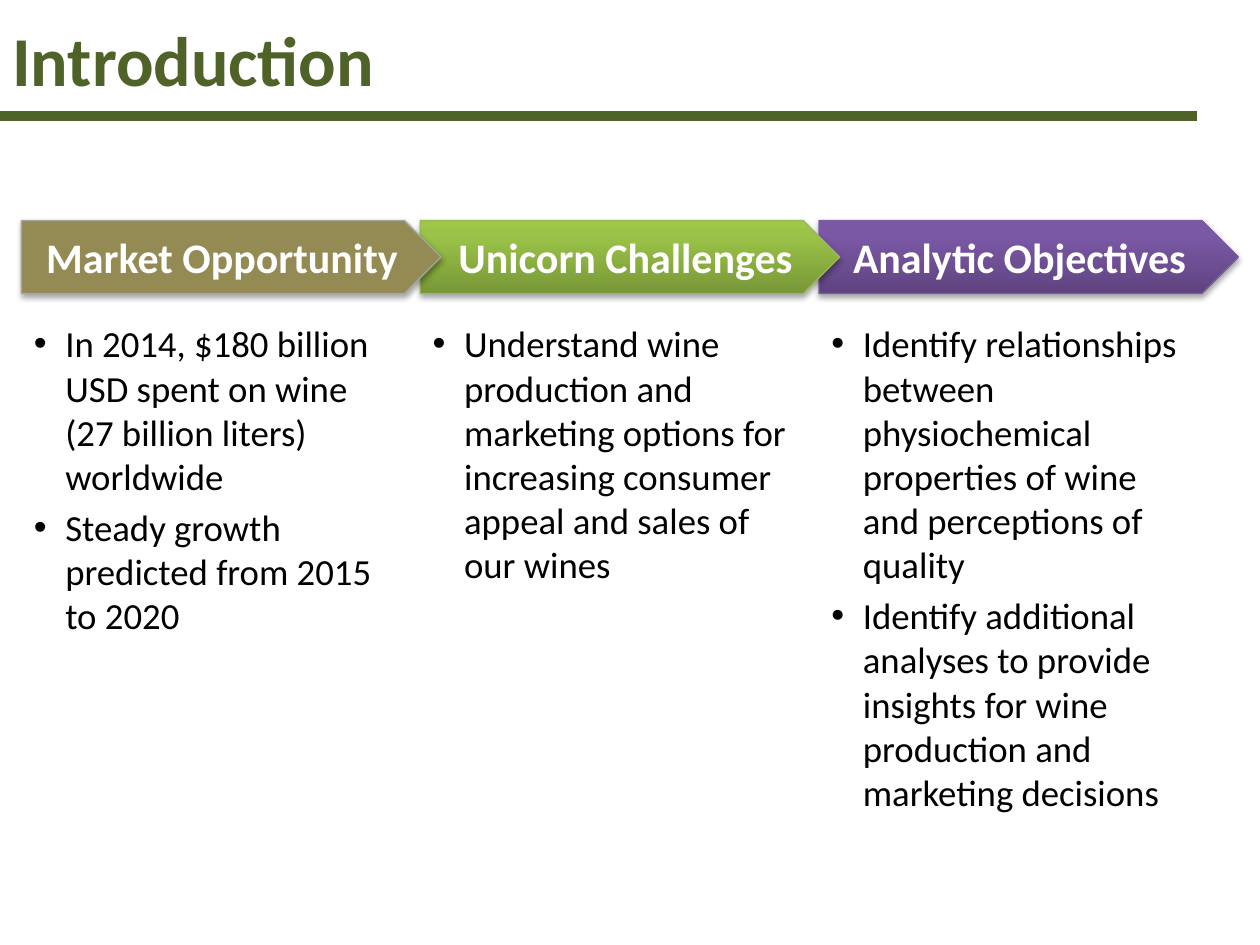
from copy import deepcopy
from dataclasses import dataclass

from lxml.etree import SubElement
from pptx import Presentation
from pptx.dml.color import RGBColor
from pptx.enum.shapes import MSO_CONNECTOR as Connector, MSO_SHAPE as Preset
from pptx.enum.text import MSO_ANCHOR as Anchor, PP_ALIGN as Align
from pptx.oxml.ns import qn
from pptx.shapes.autoshape import Shape
from pptx.slide import Slide
from pptx.text.text import TextFrame
from pptx.util import Emu, Inches, Pt

FONT = "Calibri"
OLIVE = "4F6228"
FIRST_LEFT, PITCH = 0.17, 3.165
GRADIENT_POSITIONS = (0, 0.8, 1)


@dataclass(frozen=True)
class Topic:
    heading: str
    fills: tuple[str, ...]
    outline: str
    points: tuple[str, ...]


TOPICS = (
    Topic(
        "Market Opportunity", ("948A54",), "A6A6A6",
        ("In 2014, $180 billion USD spent on wine \n(27 billion liters) worldwide",
         "Steady growth predicted from 2015 \nto 2020"),
    ),
    Topic(
        " Unicorn Challenges", ("779737", "9BC348", "9DC746"), "98B955",
        ("Understand wine production and marketing options for increasing "
         "consumer appeal and sales of our wines",),
    ),
    Topic(
        "Analytic Objectives", ("5F4480", "7B58A6", "7C57A8"), "7D60A0",
        ("Identify relationships between physiochemical properties of wine "
         "and perceptions of quality",
         "Identify additional analyses to provide insights for wine "
         "production and marketing decisions"),
    ),
)


def rgb(code: str) -> RGBColor:
    return RGBColor.from_string(code)


def write(frame: TextFrame, *lines: str, size: float, color: str = "000000",
          bold: bool = False, align: Align = Align.LEFT,
          anchor: Anchor = Anchor.TOP, bullet: bool = False) -> None:
    frame.word_wrap = True
    frame.vertical_anchor = anchor
    for index, line in enumerate(lines):
        paragraph = frame.add_paragraph() if index else frame.paragraphs[0]
        paragraph.text = line
        paragraph.alignment = align
        if bullet:
            paragraph.space_before = Pt(size * 0.2)
            properties = paragraph._p.get_or_add_pPr()
            properties.set("marL", str(Inches(0.25)))
            properties.set("indent", str(Inches(-0.25)))
            SubElement(properties, qn("a:buFont"), typeface="Arial")
            SubElement(properties, qn("a:buChar"), char="•")
        for run in paragraph.runs:
            run.font.name = FONT
            run.font.size = Pt(size)
            run.font.bold = bold
            run.font.color.rgb = rgb(color)


def paint(arrow: Shape, colors: tuple[str, ...]) -> None:
    if len(colors) == 1:
        arrow.fill.solid()
        arrow.fill.fore_color.rgb = rgb(colors[0])
        return
    arrow.fill.gradient()
    arrow.fill.gradient_angle = 90
    stop_list = arrow._element.spPr.find(f".//{qn('a:gsLst')}")
    stop_list.append(deepcopy(stop_list[-1]))
    stops = arrow.fill.gradient_stops
    for stop, color, position in zip(stops, colors, GRADIENT_POSITIONS):
        stop.color.rgb = rgb(color)
        stop.position = position


def cast_shadow(arrow: Shape) -> None:
    arrow.shadow.inherit = False
    effects = arrow._element.spPr.find(qn("a:effectLst"))
    shadow = SubElement(effects, qn("a:outerShdw"), blurRad=str(Pt(3.1)),
                        dist=str(Pt(1.8)), dir="5400000", rotWithShape="0")
    black = SubElement(shadow, qn("a:srgbClr"), val="000000")
    SubElement(black, qn("a:alpha"), val="35000")


def add_arrow(slide: Slide, topic: Topic, left: Emu) -> None:
    arrow = slide.shapes.add_shape(
        Preset.PENTAGON, left, Inches(1.75), Inches(3.33), Inches(0.58))
    paint(arrow, topic.fills)
    arrow.line.color.rgb = rgb(topic.outline)
    arrow.line.width = Pt(0.75)
    cast_shadow(arrow)
    write(arrow.text_frame, topic.heading, size=24, color="FFFFFF", bold=True,
          align=Align.CENTER, anchor=Anchor.MIDDLE)


def add_points(slide: Slide, topic: Topic, left: Emu) -> None:
    points = slide.shapes.add_textbox(
        left, Inches(2.5), Inches(3.08), Inches(4.67))
    write(points.text_frame, *topic.points, size=21, bullet=True)


def add_header(slide: Slide) -> None:
    title = slide.shapes.add_textbox(
        0, Inches(0.01), Inches(9.5), Inches(0.91))
    write(title.text_frame, "Introduction", size=40, color=OLIVE, bold=True,
          anchor=Anchor.MIDDLE)
    rule = slide.shapes.add_connector(
        Connector.STRAIGHT, 0, Inches(0.92), Inches(9.5), Inches(0.92))
    rule.line.color.rgb = rgb(OLIVE)
    rule.line.width = Pt(6)
    SubElement(rule._element.spPr, qn("a:effectLst"))


def main() -> None:
    deck = Presentation()
    deck.slide_width, deck.slide_height = Inches(10), Inches(7.5)
    slide = deck.slides.add_slide(deck.slide_layouts[6])
    add_header(slide)
    for column, topic in reversed(list(enumerate(TOPICS))):
        left = Inches(FIRST_LEFT + column * PITCH)
        add_arrow(slide, topic, left)
        add_points(slide, topic, left)
    deck.save("out.pptx")


if __name__ == "__main__":
    main()
